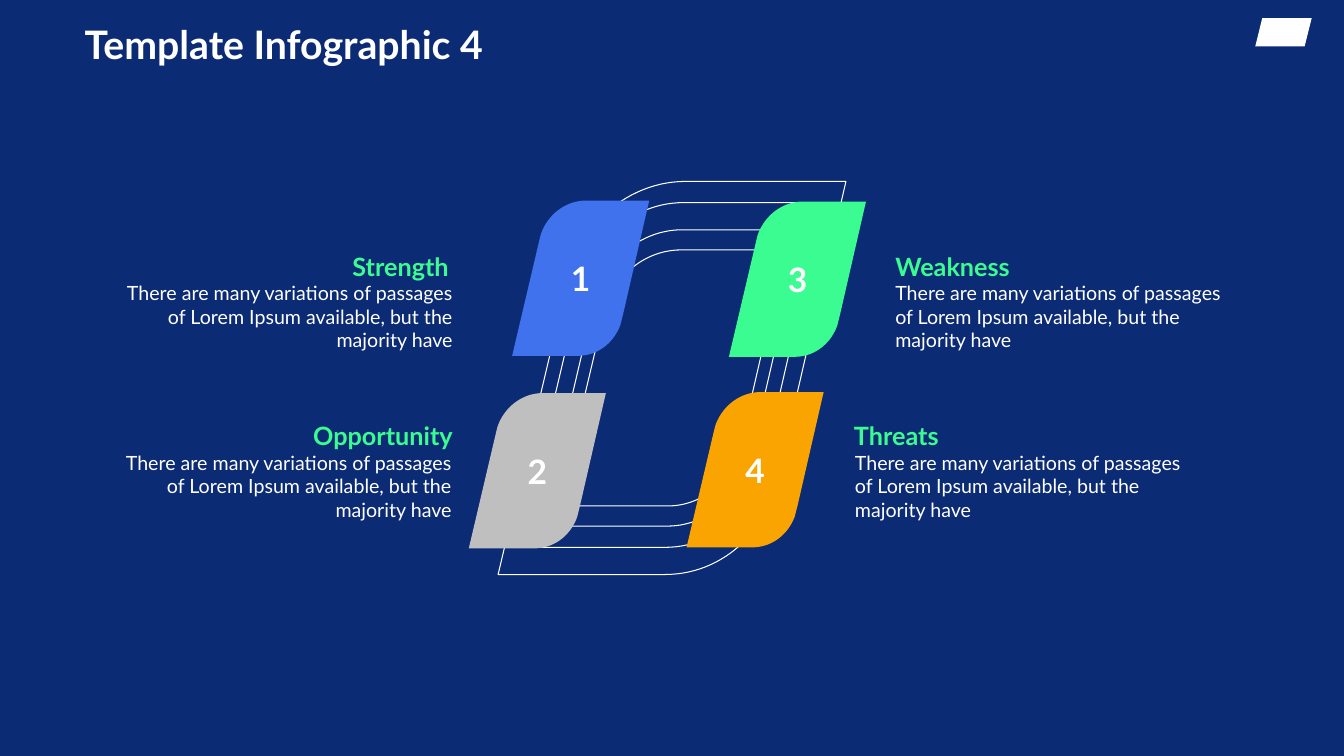
import pptx
import pptx.dml.color
import pptx.enum.shapes
import pptx.enum.text
import pptx.util

Inches = pptx.util.Inches
ALIGN = pptx.enum.text.PP_ALIGN
ANCHOR = pptx.enum.text.MSO_ANCHOR
COLORS = {"navy": "0C2B75", "white": "FFFFFF", "green": "3BFC91",
          "blue": "3F72EC", "grey": "BFBFBF", "orange": "F9A401"}
RGB = {name: pptx.dml.color.RGBColor.from_string(code) for name, code in COLORS.items()}

# Leaf outline in fractions of its width and height; each curve is a cubic Bezier.
TOP_CURVE = [(0.54, 0), (0.39, 0), (0.26, 0.09), (0.21, 0.215)]
BOTTOM_CURVE = [(0.48, 1), (0.62, 1), (0.74, 0.92), (0.79, 0.8)]
CURVE_STEPS = 24
leaf_outline = []
for curve, corners in ((TOP_CURVE, [(0.2, 0.25), (0, 1)]),
                       (BOTTOM_CURVE, [(0.81, 0.73), (1, 0)])):
    for step in range(CURVE_STEPS + 1):
        t = step / CURVE_STEPS
        weights = [(1 - t) ** 3, 3 * t * (1 - t) ** 2, 3 * t ** 2 * (1 - t), t ** 3]
        leaf_outline.append(tuple(sum(weight * point[axis] for weight, point in zip(weights, curve))
                                  for axis in (0, 1)))
    leaf_outline += corners


def add_leaf(left, top, width, height):
    points = [(Inches(left + x * width), Inches(top + y * height)) for x, y in leaf_outline]
    builder = page.shapes.build_freeform(*points[0], scale=1)
    builder.add_line_segments(points[1:], close=True)
    leaf = builder.convert_to_shape()
    leaf.shadow.inherit = False
    return leaf


def write(frame, text, size, color, bold, alignment):
    para = frame.paragraphs[0]
    para.alignment = alignment
    span = para.add_run()
    span.text = text
    for name, value in {"name": "Lato", "size": pptx.util.Pt(size), "bold": bold}.items():
        setattr(span.font, name, value)
    span.font.color.rgb = RGB[color]


deck = pptx.Presentation()
deck.slide_width, deck.slide_height = Inches(13.33), Inches(7.5)
page = deck.slides.add_slide(deck.slide_layouts[5])
page.background.fill.solid()
page.background.fill.fore_color.rgb = RGB["navy"]

title = page.shapes.title
title.left, title.top, title.width, title.height = map(Inches, (0.74, 0.18, 8.96, 0.56))
title.text_frame.vertical_anchor = ANCHOR.MIDDLE
write(title.text_frame, "Template Infographic 4", 28, "white", True, ALIGN.LEFT)
title.text_frame.paragraphs[0].line_spacing = 0.9

emblem = page.shapes.add_shape(pptx.enum.shapes.MSO_SHAPE.PARALLELOGRAM,
                               Inches(12.45), Inches(0.18), Inches(0.56), Inches(0.28))
emblem.shadow.inherit = False
emblem.fill.solid()
emblem.fill.fore_color.rgb = RGB["white"]
emblem.line.fill.background()

for ring_box in ((5.54, 2.48, 2.25, 2.54), (5.15, 2.01, 3.02, 3.42),
                 (5.37, 2.28, 2.59, 2.94), (4.94, 1.8, 3.45, 3.9)):
    ring = add_leaf(*ring_box)
    ring.fill.background()
    ring.line.color.rgb = RGB["white"]
    ring.line.width = pptx.util.Pt(0.75)

for number, left, top, color in (("2", 4.65, 3.9, "grey"), ("1", 5.08, 1.99, "blue"),
                                 ("3", 7.23, 2, "green"), ("4", 6.81, 3.89, "orange")):
    leaf = add_leaf(left, top, 1.36, 1.54)
    leaf.fill.solid()
    leaf.fill.fore_color.rgb = RGB[color]
    leaf.line.fill.background()
    leaf.text_frame.vertical_anchor = ANCHOR.MIDDLE
    write(leaf.text_frame, number, 24, "white", True, ALIGN.CENTER)

BODY = "There are many variations of passages of Lorem Ipsum available, but the majority have"
FRAME_FORMAT = {"word_wrap": True, "margin_left": 0, "margin_right": 0, "margin_top": 0,
                "margin_bottom": 0, "auto_size": pptx.enum.text.MSO_AUTO_SIZE.SHAPE_TO_FIT_TEXT}
# Heading, its top, alignment, then left and width of the heading and of the body.
topics = (("Strength", 2.49, ALIGN.RIGHT, (0.99, 3.46), (1.11, 3.38)),
          ("Opportunity", 4.17, ALIGN.RIGHT, (1.27, 3.22), (1.11, 3.37)),
          ("Threats", 4.17, ALIGN.LEFT, (8.47, 2.3), (8.48, 3.32)),
          ("Weakness", 2.49, ALIGN.LEFT, (8.88, 3.78), (8.88, 3.4)))
for heading, top, alignment, heading_span, body_span in topics:
    for text, (left, width), offset, height, size, color, bold in (
            (heading, heading_span, 0, 0.3, 18, "green", True),
            (BODY, body_span, 0.3, 0.71, 14, "white", False)):
        box = page.shapes.add_textbox(Inches(left), Inches(top + offset),
                                      Inches(width), Inches(height))
        for name, value in FRAME_FORMAT.items():
            setattr(box.text_frame, name, value)
        write(box.text_frame, text, size, color, bold, alignment)

deck.save("out.pptx")
